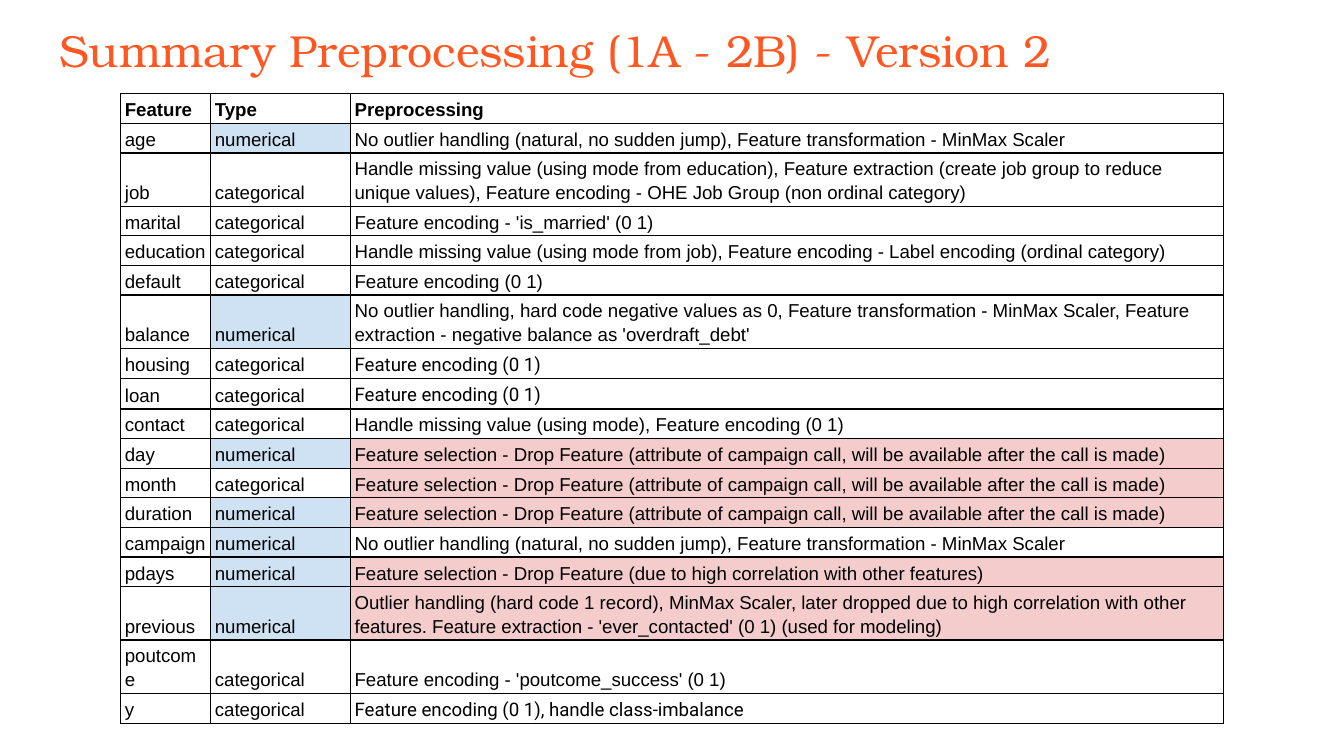
from dataclasses import dataclass

from lxml.etree import SubElement
from pptx import Presentation
from pptx.dml.color import RGBColor
from pptx.enum.text import MSO_ANCHOR, MSO_AUTO_SIZE, PP_ALIGN
from pptx.oxml.ns import qn
from pptx.util import Cm, Pt


@dataclass(frozen=True)
class Theme:
    title_font: str = "TeX Gyre Bonum"
    body_font: str = "Arial"
    accent_font: str = "Roboto"
    title_size: float = 24
    body_size: float = 10
    border_width: float = 0.75
    title_color: str = "FF5722"
    ink: str = "000000"
    white: str = "FFFFFF"
    numerical: str = "CFE2F3"
    dropped: str = "F4CCCC"


THEME = Theme()
NUMERICAL, CATEGORICAL = "numerical", "categorical"
SCALE_ONLY = "No outlier handling (natural, no sudden jump), Feature transformation - MinMax Scaler"
ENCODE = "Feature encoding (0 1)"
DROP_CALL = ("Feature selection - Drop Feature (attribute of campaign call, "
             "will be available after the call is made)")

HEADERS = ("Feature", "Type", "Preprocessing")
FEATURES = [
    ("age", NUMERICAL, SCALE_ONLY),
    ("job", CATEGORICAL,
     "Handle missing value (using mode from education), Feature extraction (create job group "
     "to reduce unique values), Feature encoding - OHE Job Group (non ordinal category)"),
    ("marital", CATEGORICAL, "Feature encoding - 'is_married' (0 1)"),
    ("education", CATEGORICAL,
     "Handle missing value (using mode from job), Feature encoding - Label encoding "
     "(ordinal category)"),
    ("default", CATEGORICAL, ENCODE),
    ("balance", NUMERICAL,
     "No outlier handling, hard code negative values as 0, Feature transformation - MinMax "
     "Scaler, Feature extraction - negative balance as 'overdraft_debt'"),
    ("housing", CATEGORICAL, ENCODE),
    ("loan", CATEGORICAL, ENCODE),
    ("contact", CATEGORICAL, "Handle missing value (using mode), Feature encoding (0 1)"),
    ("day", NUMERICAL, DROP_CALL),
    ("month", CATEGORICAL, DROP_CALL),
    ("duration", NUMERICAL, DROP_CALL),
    ("campaign", NUMERICAL, SCALE_ONLY),
    ("pdays", NUMERICAL,
     "Feature selection - Drop Feature (due to high correlation with other features)"),
    ("previous", NUMERICAL,
     "Outlier handling (hard code 1 record), MinMax Scaler, later dropped due to high "
     "correlation with other features. Feature extraction - 'ever_contacted' (0 1) "
     "(used for modeling)"),
    ("poutcome", CATEGORICAL, "Feature encoding - 'poutcome_success' (0 1)"),
    ("y", CATEGORICAL, "Feature encoding (0 1), handle class-imbalance"),
]
DROPPED = {"day", "month", "duration", "pdays", "previous"}
ACCENTED = {"housing", "loan", "y"}
TWO_LINE = {"job", "balance", "previous"}
COLUMN_SHARES = (0.67, 1.04, 6.5)
ROW_HEIGHT, TALL_ROW_HEIGHT = Cm(0.56), Cm(0.91)


def write_text(frame, text, *, font, size, color, bold=False, line_spacing=None):
    paragraph = frame.paragraphs[0]
    paragraph.alignment = PP_ALIGN.LEFT
    paragraph.line_spacing = line_spacing
    run = paragraph.add_run()
    run.text = text
    run.font.name = font
    run.font.size = Pt(size)
    run.font.bold = bold
    run.font.color.rgb = RGBColor.from_string(color)


def add_borders(cell):
    properties = cell._tc.get_or_add_tcPr()
    for side in ("lnL", "lnR", "lnT", "lnB"):
        line = SubElement(properties, qn(f"a:{side}"), w=str(Pt(THEME.border_width)))
        fill = SubElement(line, qn("a:solidFill"))
        SubElement(fill, qn("a:srgbClr"), val=THEME.ink)


def format_cell(cell, text, *, fill=None, font=THEME.body_font, bold=False):
    cell.margin_left = cell.margin_right = Cm(0.08)
    cell.margin_top = cell.margin_bottom = Cm(0.05)
    cell.vertical_anchor = MSO_ANCHOR.BOTTOM
    add_borders(cell)
    if fill:
        cell.fill.solid()
        cell.fill.fore_color.rgb = RGBColor.from_string(fill)
    else:
        cell.fill.background()
    write_text(cell.text_frame, text, font=font, size=THEME.body_size,
               color=THEME.ink, bold=bold, line_spacing=1.15)


def place_title(slide, text, left, top, width, height):
    title = slide.shapes.title
    title.left, title.top, title.width, title.height = left, top, width, height
    frame = title.text_frame
    frame.word_wrap = True
    frame.auto_size = MSO_AUTO_SIZE.NONE
    frame.vertical_anchor = MSO_ANCHOR.TOP
    frame.margin_left = frame.margin_right = Cm(0.25)
    frame.margin_top = frame.margin_bottom = Cm(0.25)
    write_text(frame, text, font=THEME.title_font, size=THEME.title_size,
               color=THEME.title_color)


def preprocessing_fill(feature):
    if feature in DROPPED:
        return THEME.dropped
    return THEME.white if feature in ACCENTED else None


def add_feature_table(slide, left, top, width):
    row_count = len(FEATURES) + 1
    table = slide.shapes.add_table(row_count, len(HEADERS), left, top, width,
                                   ROW_HEIGHT * row_count).table
    table.horz_banding = False
    for column, share in zip(table.columns, COLUMN_SHARES):
        column.width = round(width * share / sum(COLUMN_SHARES))

    table.rows[0].height = ROW_HEIGHT
    for index, header in enumerate(HEADERS):
        format_cell(table.cell(0, index), header, bold=True)

    for index, (feature, kind, preprocessing) in enumerate(FEATURES, start=1):
        table.rows[index].height = TALL_ROW_HEIGHT if feature in TWO_LINE else ROW_HEIGHT
        format_cell(table.cell(index, 0), feature)
        format_cell(table.cell(index, 1), kind,
                    fill=THEME.numerical if kind == NUMERICAL else None)
        format_cell(table.cell(index, 2), preprocessing, fill=preprocessing_fill(feature),
                    font=THEME.accent_font if feature in ACCENTED else THEME.body_font)


def main():
    presentation = Presentation()
    presentation.slide_width, presentation.slide_height = Cm(25.4), Cm(14.29)
    slide = presentation.slides.add_slide(presentation.slide_layouts[5])
    place_title(slide, "Summary Preprocessing (1A - 2B) - Version 2",
                Cm(0.87), Cm(0.18), Cm(23.67), Cm(1.6))
    add_feature_table(slide, Cm(2.28), Cm(1.77), Cm(20.85))
    presentation.save("out.pptx")


if __name__ == "__main__":
    main()
